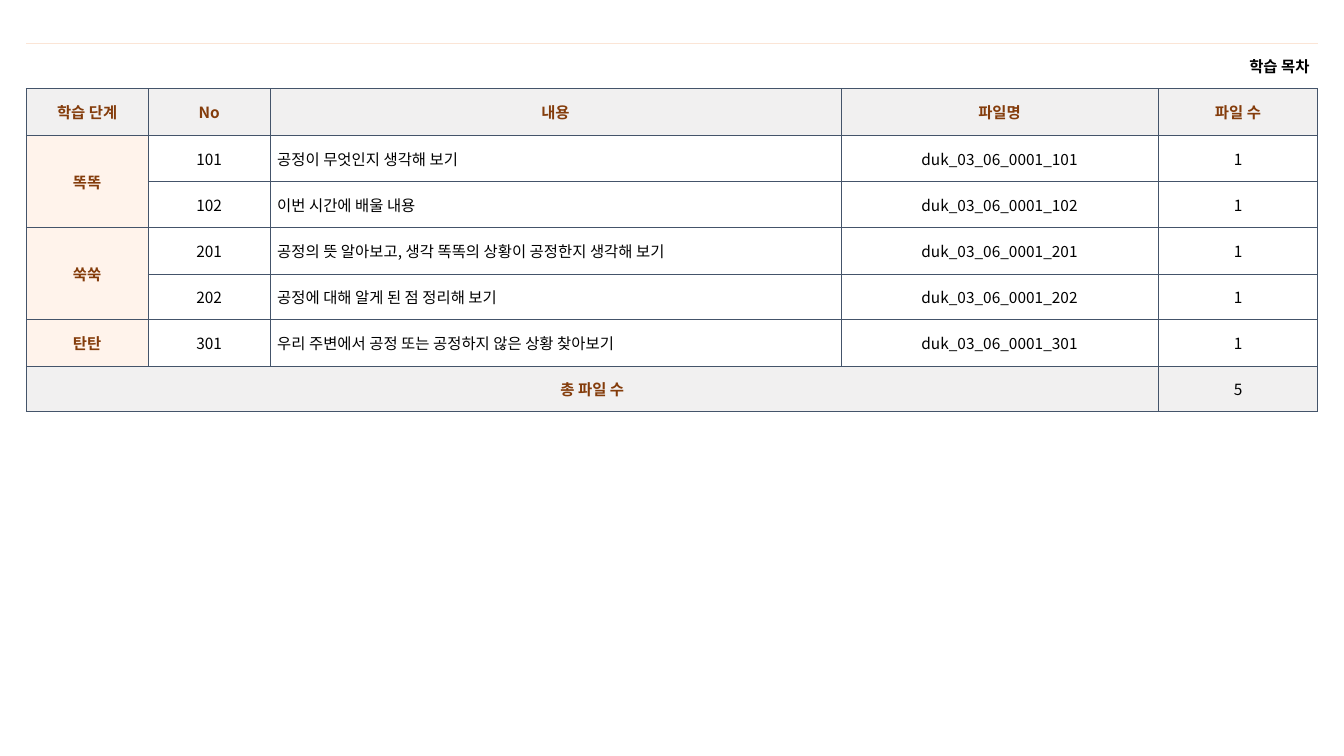
import dataclasses

import lxml.etree
import pptx
import pptx.dml.color
import pptx.enum.text
import pptx.oxml.ns
import pptx.util

Inches = pptx.util.Inches
ALIGN = pptx.enum.text.PP_ALIGN


@dataclasses.dataclass(frozen=True)
class Theme:
    font: str = "Noto Sans CJK KR"
    size: float = 11
    text: str = "000000"
    accent: str = "843C0B"
    header_fill: str = "F1F0F0"
    stage_fill: str = "FFF3EB"
    body_fill: str = "FFFFFF"
    grid: tuple = ("44546A", 0.5)
    top_rule: tuple = ("FBE5D6", 0.25)


class ContentsPage:
    def __init__(self, deck, theme):
        self.theme = theme
        self.page = deck.slides.add_slide(deck.slide_layouts[6])

    def table(self, left, top, widths, heights):
        frame = self.page.shapes.add_table(
            len(heights), len(widths), Inches(left), Inches(top),
            Inches(sum(widths)), Inches(sum(heights)))
        grid = frame.table
        grid.first_row = grid.horz_banding = False
        for column, width in zip(grid.columns, widths):
            column.width = Inches(width)
        for row, height in zip(grid.rows, heights):
            row.height = Inches(height)
        return grid

    def label(self, cell, text, align=ALIGN.CENTER, strong=False, color=None, inset=0.07):
        cell.vertical_anchor = pptx.enum.text.MSO_ANCHOR.MIDDLE
        cell.margin_left = cell.margin_right = Inches(inset)
        cell.margin_top = cell.margin_bottom = Inches(0.05)
        para = cell.text_frame.paragraphs[0]
        para.text = text
        para.alignment = align
        font = para.font
        font.name, font.size, font.bold = self.theme.font, pptx.util.Pt(self.theme.size), strong
        default = self.theme.accent if strong else self.theme.text
        font.color.rgb = pptx.dml.color.RGBColor.from_string(color or default)
        # Hangul takes the East Asian typeface
        properties = para._p.pPr.find(pptx.oxml.ns.qn("a:defRPr"))
        lxml.etree.SubElement(properties, pptx.oxml.ns.qn("a:ea"), typeface=self.theme.font)

    def fill(self, cell, color):
        if color is None:
            cell.fill.background()
        else:
            cell.fill.solid()
            cell.fill.fore_color.rgb = pptx.dml.color.RGBColor.from_string(color)

    def borders(self, cell, **sides):
        qn = pptx.oxml.ns.qn
        for index, side in enumerate("LRTB"):
            line = lxml.etree.Element(qn(f"a:ln{side}"))
            style = sides.get(side, self.theme.grid)
            if style is None:
                lxml.etree.SubElement(line, qn("a:noFill"))
            else:
                color, width = style
                line.set("w", str(int(pptx.util.Pt(width))))
                solid = lxml.etree.SubElement(line, qn("a:solidFill"))
                lxml.etree.SubElement(solid, qn("a:srgbClr"), val=color)
            cell._tc.get_or_add_tcPr().insert(index, line)


HEADERS = ["학습 단계", "No", "내용", "파일명", "파일 수"]
STAGES = {
    "똑똑": [("101", "공정이 무엇인지 생각해 보기"),
           ("102", "이번 시간에 배울 내용")],
    "쑥쑥": [("201", "공정의 뜻 알아보고, 생각 똑똑의 상황이 공정한지 생각해 보기"),
           ("202", "공정에 대해 알게 된 점 정리해 보기")],
    "탄탄": [("301", "우리 주변에서 공정 또는 공정하지 않은 상황 찾아보기")],
}


def main():
    deck = pptx.Presentation()
    deck.slide_width, deck.slide_height = Inches(13.33), Inches(7.5)
    theme = Theme()
    contents = ContentsPage(deck, theme)
    grid = contents.table(0.26, 0.43, [1.21, 1.21, 5.66, 3.15, 1.58],
                          [0.45, 0.46, 0.46, 0.46, 0.46, 0.45, 0.46, 0.45])
    last_row, last_column = len(grid.rows) - 1, len(grid.columns) - 1

    # Fills and borders
    for row in range(last_row + 1):
        for column in range(last_column + 1):
            cell = grid.cell(row, column)
            if row == 0:
                contents.fill(cell, None)
                contents.borders(cell, L=None, R=None, T=theme.top_rule)
                continue
            if row in (1, last_row):
                color = theme.header_fill
            else:
                color = theme.body_fill if column else theme.stage_fill
            contents.fill(cell, color)
            contents.borders(cell)

    # Caption and column headers
    grid.cell(0, 0).merge(grid.cell(0, last_column))
    contents.label(grid.cell(0, 0), "학습 목차", ALIGN.RIGHT, True, theme.text, 0.08)
    for column, header in enumerate(HEADERS):
        contents.label(grid.cell(1, column), header, strong=True)

    # Lessons by stage
    row = 2
    for stage, lessons in STAGES.items():
        if len(lessons) > 1:
            grid.cell(row, 0).merge(grid.cell(row + len(lessons) - 1, 0))
        contents.label(grid.cell(row, 0), stage, strong=True)
        for number, topic in lessons:
            contents.label(grid.cell(row, 1), number)
            contents.label(grid.cell(row, 2), topic, ALIGN.LEFT)
            contents.label(grid.cell(row, 3), f"duk_03_06_0001_{number}")
            contents.label(grid.cell(row, 4), "1")
            row += 1

    # Total
    grid.cell(last_row, 0).merge(grid.cell(last_row, last_column - 1))
    contents.label(grid.cell(last_row, 0), "총 파일 수", strong=True)
    contents.label(grid.cell(last_row, last_column), str(sum(map(len, STAGES.values()))))

    deck.save("out.pptx")


if __name__ == "__main__":
    main()
